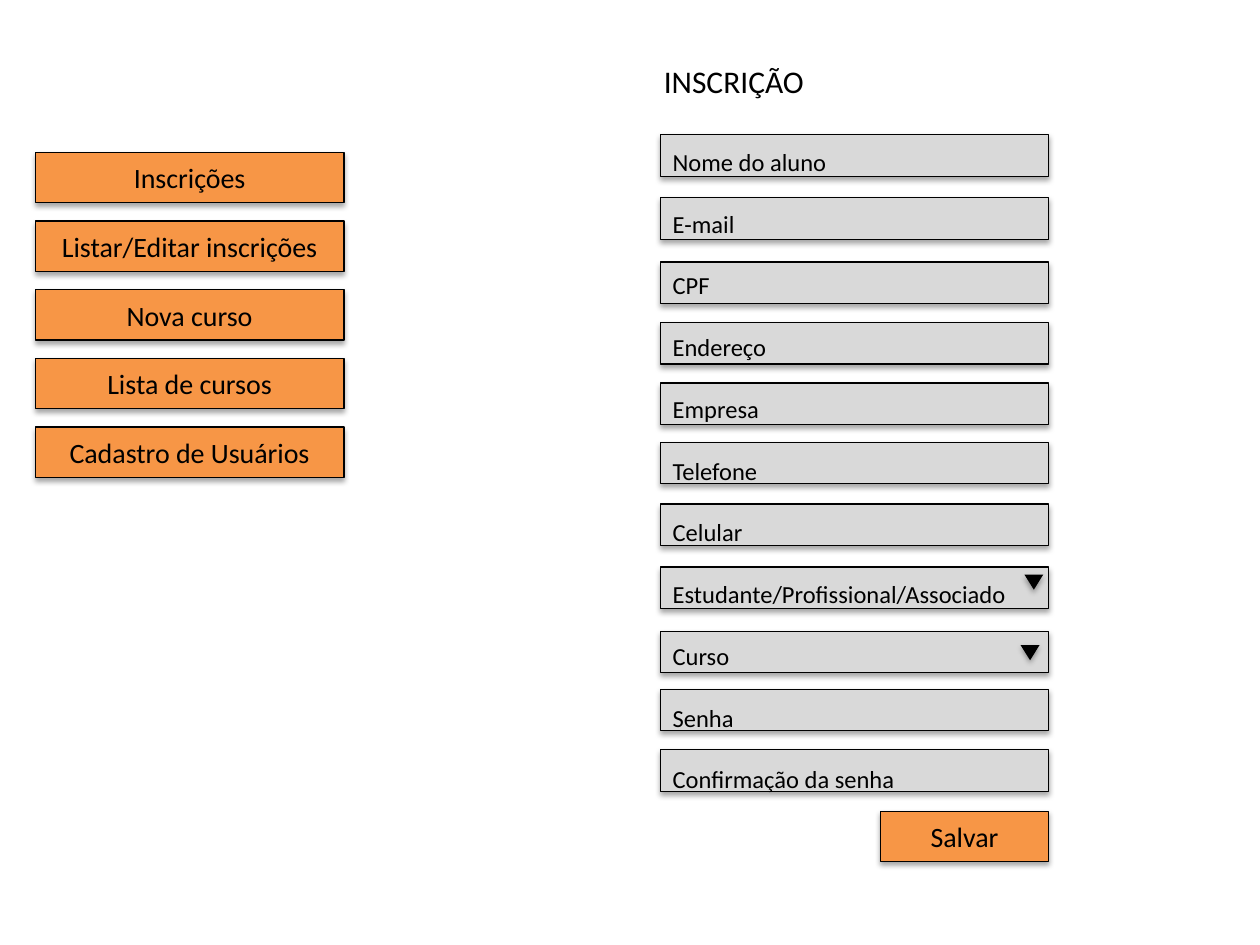
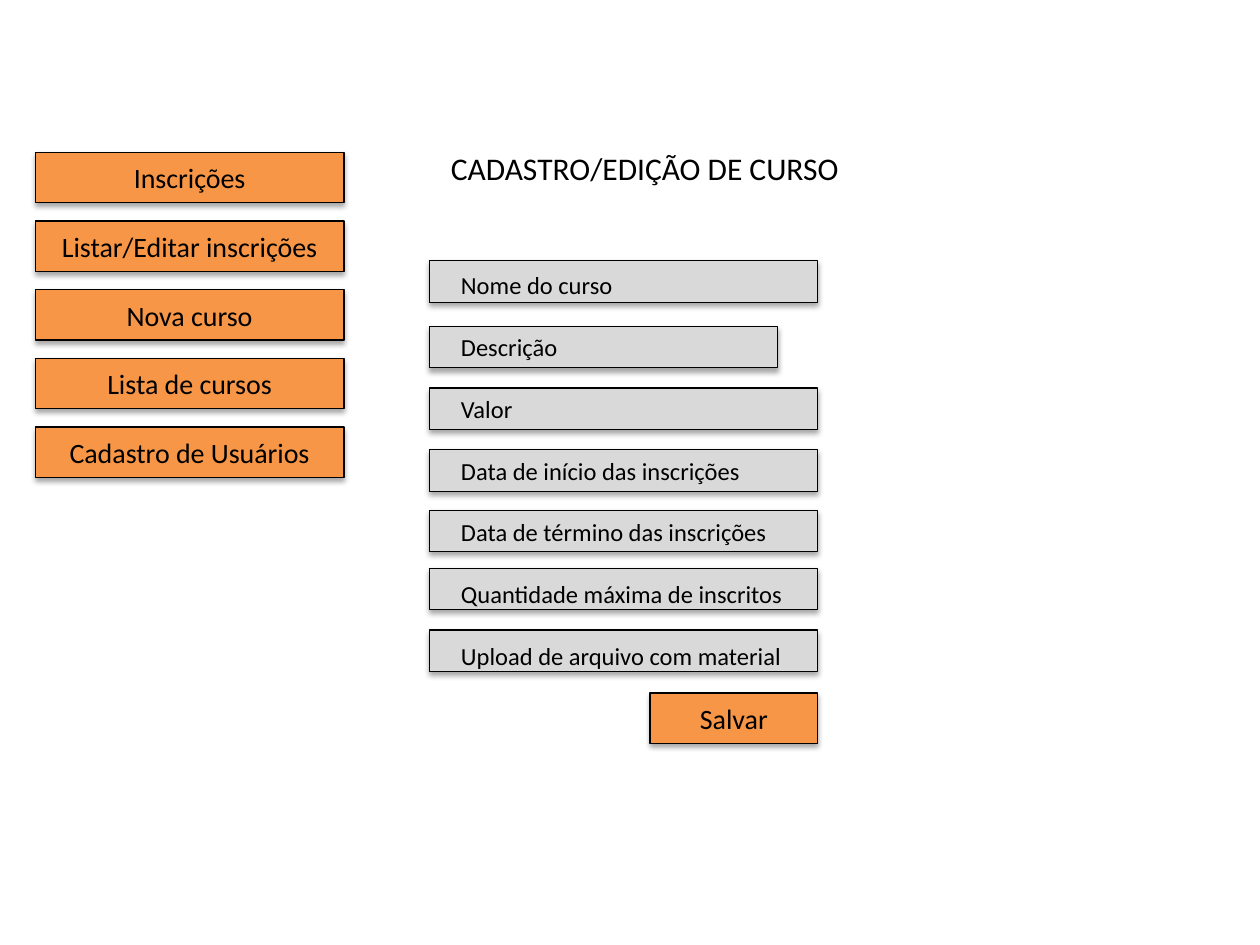
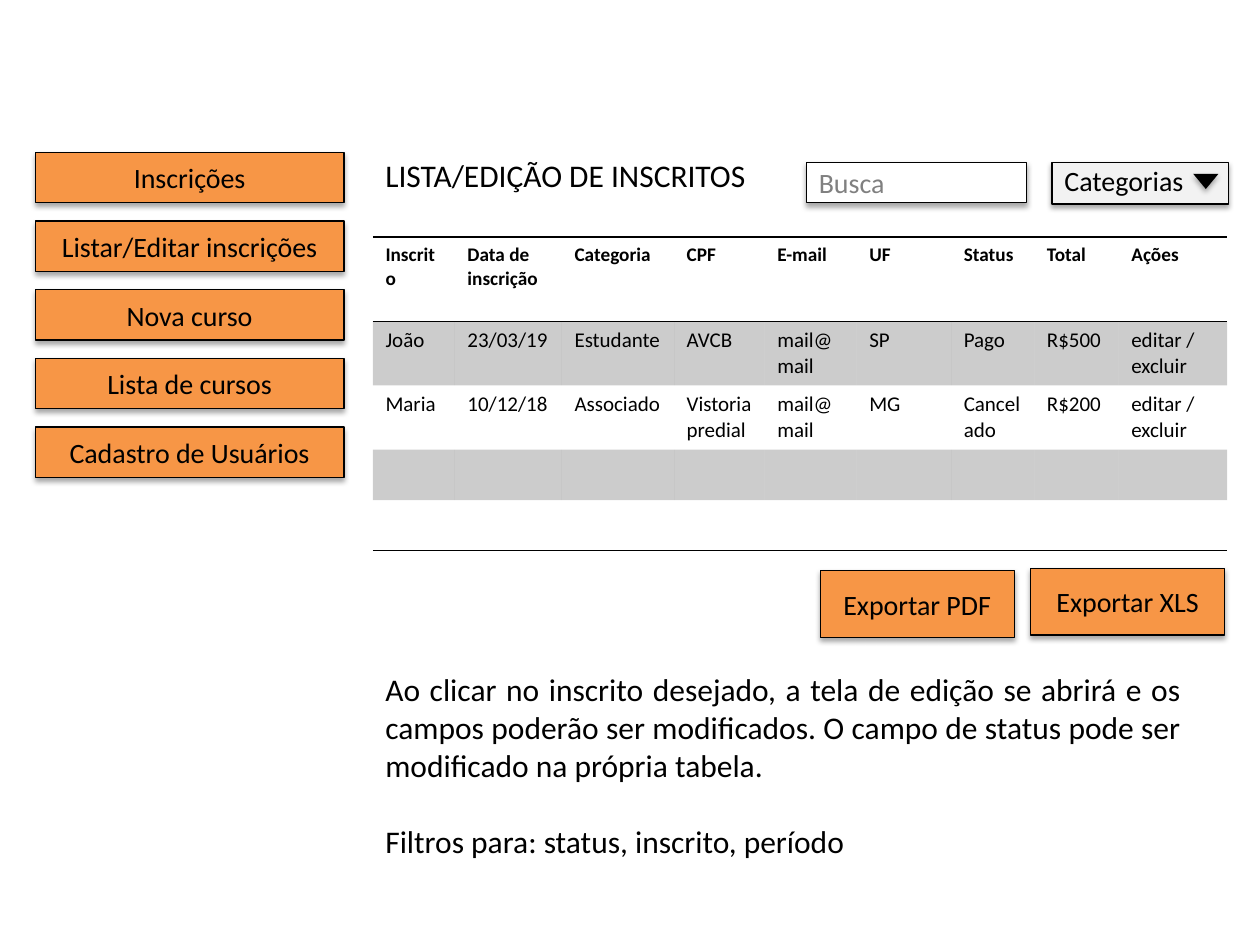
from dataclasses import dataclass
from typing import NamedTuple

from lxml.etree import SubElement
from pptx import Presentation
from pptx.dml.color import RGBColor
from pptx.enum.shapes import MSO_SHAPE as Preset
from pptx.enum.text import MSO_ANCHOR as Anchor, MSO_AUTO_SIZE as AutoSize, PP_ALIGN as Align
from pptx.oxml.ns import qn
from pptx.shapes.autoshape import Shape
from pptx.slide import Slide
from pptx.table import _Cell as Cell
from pptx.text.text import TextFrame
from pptx.util import Inches, Pt

BLACK = RGBColor(0x00, 0x00, 0x00)
WHITE = RGBColor(0xFF, 0xFF, 0xFF)
ORANGE = RGBColor(0xF7, 0x96, 0x46)
FIELD_GRAY = RGBColor(0xD9, 0xD9, 0xD9)
LIGHT_GRAY = RGBColor(0xF2, 0xF2, 0xF2)
HINT_GRAY = RGBColor(0x80, 0x80, 0x80)
FONT = "Calibri"
PLAIN_TABLE_STYLE = "{2D5ABB26-0587-4C30-8999-92F81FD0307C}"

MENU = ["Inscrições", "Listar/Editar inscrições", "Nova curso",
        "Lista de cursos", "Cadastro de Usuários"]
MENU_TOP, MENU_BOTTOM_TOP = 1.21, 3.39
FIELD_WIDTH, FIELD_HEIGHT = 3.08, 0.33
BUTTON_HEIGHT = 0.4
SAVE_WIDTH = 1.33


class Area(NamedTuple):
    """Left, top, width and height in inches."""
    left: float
    top: float
    width: float
    height: float

    def lengths(self) -> list[int]:
        return [Inches(value) for value in self]


class Field(NamedTuple):
    label: str
    top: float
    width: float = FIELD_WIDTH


@dataclass
class Form:
    title: str
    title_area: Area
    left: float
    labels_area: Area
    fields: list[Field]
    save_top: float
    arrows: tuple[Area, ...] = ()


ENROLMENT_FORM = Form(
    title="INSCRIÇÃO",
    title_area=Area(5.17, 0.44, 1.32, 0.4),
    left=5.24,
    labels_area=Area(5.24, 0.86, 2.87, 6.27),
    fields=[
        Field("Nome do aluno", 1.07),
        Field("E-mail", 1.57),
        Field("CPF", 2.08),
        Field("Endereço", 2.56),
        Field("Empresa", 3.04),
        Field("Telefone", 3.51),
        Field("Celular", 4),
        Field("Estudante/Profissional/Associado", 4.5),
        Field("Curso", 5.01),
        Field("Senha", 5.47),
        Field("Confirmação da senha", 5.95),
    ],
    save_top=6.44,
    arrows=(Area(8.13, 4.56, 0.15, 0.12), Area(8.1, 5.12, 0.15, 0.12)),
)

COURSE_FORM = Form(
    title="CADASTRO/EDIÇÃO DE CURSO",
    title_area=Area(3.48, 1.13, 3.31, 0.4),
    left=3.41,
    labels_area=Area(3.56, 1.84, 2.78, 4.06),
    fields=[
        Field("Nome do curso", 2.07),
        Field("Descrição", 2.59, 2.76),
        Field("Valor", 3.08),
        Field("Data de início das inscrições", 3.57),
        Field("Data de término das inscrições", 4.05),
        Field("Quantidade máxima de inscritos", 4.51),
        Field("Upload de arquivo com material", 5),
    ],
    save_top=5.5,
)

COLUMN_WIDTHS = [0.65, 0.85, 0.89, 0.72, 0.73, 0.75, 0.66, 0.67, 0.86]
ROW_HEIGHTS = [0.67, 0.51, 0.51, 0.4, 0.4]
ENROLLED = [
    ["Inscrito", "Data de inscrição", "Categoria", "CPF", "E-mail", "UF",
     "Status", "Total", "Ações"],
    ["João", "23/03/19", "Estudante", "AVCB", "mail@mail", "SP",
     "Pago", "R$500", "editar / excluir"],
    ["Maria", "10/12/18", "Associado", "Vistoria predial", "mail@mail", "MG",
     "Cancelado", "R$200", "editar / excluir"],
    [""] * 9,
    [""] * 9,
]
HELP_TEXT = [
    "Ao clicar no inscrito desejado, a tela de edição se abrirá e os campos "
    "poderão ser modificados. O campo de status pode ser modificado na própria tabela.",
    "Filtros para: status, inscrito, período",
]


def write(frame: TextFrame, *lines: str, size: float, color: RGBColor = BLACK,
          bold: bool = False, align: Align = Align.LEFT,
          line_spacing: float | None = None, gap: float = 0) -> None:
    """Fill the frame with one paragraph per line, set apart by gap points."""
    for index, line in enumerate(lines):
        para = frame.add_paragraph() if index else frame.paragraphs[0]
        para.alignment = align
        para.line_spacing = line_spacing
        if index and gap:
            para.space_before = Pt(gap)
        para.font.size = Pt(size)
        if line:
            span = para.add_run()
            span.text = line
            span.font.name = FONT
            span.font.size = Pt(size)
            span.font.bold = bold
            span.font.color.rgb = color


def add_text(page: Slide, area: Area, *lines: str, size: float = 18,
             wrap: bool = False, **style) -> None:
    frame = page.shapes.add_textbox(*area.lengths()).text_frame
    frame.word_wrap = wrap
    frame.auto_size = AutoSize.SHAPE_TO_FIT_TEXT
    write(frame, *lines, size=size, **style)


def add_shadow(shape: Shape) -> None:
    shape.shadow.inherit = False
    effects = shape._element.spPr.find(qn("a:effectLst"))
    shadow = SubElement(effects, qn("a:outerShdw"), blurRad=str(Pt(3.1)),
                        dist=str(Pt(1.8)), dir="5400000", rotWithShape="0")
    color = SubElement(shadow, qn("a:srgbClr"), val=str(BLACK))
    SubElement(color, qn("a:alpha"), val="35000")


def add_box(page: Slide, area: Area, fill: RGBColor, text: str = "", **style) -> None:
    box = page.shapes.add_shape(Preset.RECTANGLE, *area.lengths())
    box.fill.solid()
    box.fill.fore_color.rgb = fill
    box.line.color.rgb = BLACK
    box.line.width = Pt(0.75)
    add_shadow(box)
    if text:
        box.text_frame.word_wrap = True
        box.text_frame.vertical_anchor = Anchor.MIDDLE
        write(box.text_frame, text, size=16, **style)


def add_button(page: Slide, area: Area, text: str) -> None:
    add_box(page, area, ORANGE, text, align=Align.CENTER)


def add_down_arrow(page: Slide, area: Area) -> None:
    arrow = page.shapes.add_shape(Preset.ISOSCELES_TRIANGLE, *area.lengths())
    arrow.rotation = 180
    arrow.fill.solid()
    arrow.fill.fore_color.rgb = BLACK
    arrow.line.fill.background()
    add_shadow(arrow)


def add_menu(page: Slide) -> None:
    pitch = (MENU_BOTTOM_TOP - MENU_TOP) / (len(MENU) - 1)
    for index, label in enumerate(MENU):
        add_button(page, Area(0.28, MENU_TOP + index * pitch, 2.45, BUTTON_HEIGHT), label)


def add_form(page: Slide, form: Form) -> None:
    for field in form.fields:
        add_box(page, Area(form.left, field.top, field.width, FIELD_HEIGHT), FIELD_GRAY)
    add_text(page, form.title_area, form.title)
    add_text(page, form.labels_area, *[field.label for field in form.fields],
             size=14, line_spacing=2.1)
    for area in form.arrows:
        add_down_arrow(page, area)
    save_left = form.left + FIELD_WIDTH - SAVE_WIDTH
    add_button(page, Area(save_left, form.save_top, SAVE_WIDTH, BUTTON_HEIGHT), "Salvar")


def add_border(cell: Cell, side: str) -> None:
    line = SubElement(cell._tc.get_or_add_tcPr(), qn(f"a:{side}"), w=str(Pt(1)))
    fill = SubElement(line, qn("a:solidFill"))
    SubElement(fill, qn("a:srgbClr"), val=str(BLACK))


def shade(cell: Cell) -> None:
    """Fill the cell with black at 20 % opacity."""
    cell.fill.solid()
    cell.fill.fore_color.rgb = BLACK
    color = cell._tc.tcPr.find(f"{qn('a:solidFill')}/{qn('a:srgbClr')}")
    SubElement(color, qn("a:alpha"), val="20000")


def add_enrolled_table(page: Slide) -> None:
    area = Area(2.96, 1.88, sum(COLUMN_WIDTHS), sum(ROW_HEIGHTS))
    table = page.shapes.add_table(len(ENROLLED), len(COLUMN_WIDTHS), *area.lengths()).table
    table._tbl.tblPr.find(qn("a:tableStyleId")).text = PLAIN_TABLE_STYLE
    for column, width in zip(table.columns, COLUMN_WIDTHS):
        column.width = Inches(width)
    last = len(ENROLLED) - 1
    for index, (row, height) in enumerate(zip(table.rows, ROW_HEIGHTS)):
        row.height = Inches(height)
        is_header = index == 0
        for cell, text in zip(row.cells, ENROLLED[index]):
            write(cell.text_frame, text, size=11 if is_header else 12, bold=is_header)
            if is_header:
                add_border(cell, "lnT")
            if index in (0, last):
                add_border(cell, "lnB")
            if index % 2:
                shade(cell)
            else:
                cell.fill.background()


def add_enrolled_list(page: Slide) -> None:
    add_enrolled_table(page)
    add_text(page, Area(2.96, 1.19, 3.09, 0.4), "LISTA/EDIÇÃO DE INSCRITOS")
    add_text(page, Area(2.96, 5.27, 6.51, 1.62), *HELP_TEXT, wrap=True,
             align=Align.JUSTIFY, gap=22)
    add_box(page, Area(6.4, 1.29, 1.75, 0.32), WHITE, "Busca", color=HINT_GRAY)
    add_box(page, Area(8.35, 1.29, 1.4, FIELD_HEIGHT), LIGHT_GRAY)
    add_down_arrow(page, Area(9.47, 1.38, 0.2, 0.12))
    add_text(page, Area(8.35, 1.25, 1.4, 0.37), "Categorias", size=16, wrap=True)
    add_button(page, Area(6.51, 4.53, 1.54, 0.53), "Exportar PDF")
    add_button(page, Area(8.18, 4.51, 1.54, 0.53), "Exportar XLS")


def main() -> None:
    deck = Presentation()
    deck.slide_width, deck.slide_height = Inches(10), Inches(7.5)
    blank = deck.slide_layouts[6]
    enrolment, course, enrolled = [deck.slides.add_slide(blank) for _ in range(3)]
    add_form(enrolment, ENROLMENT_FORM)
    add_form(course, COURSE_FORM)
    add_enrolled_list(enrolled)
    for page in (enrolment, course, enrolled):
        add_menu(page)
    deck.save("out.pptx")


if __name__ == "__main__":
    main()
